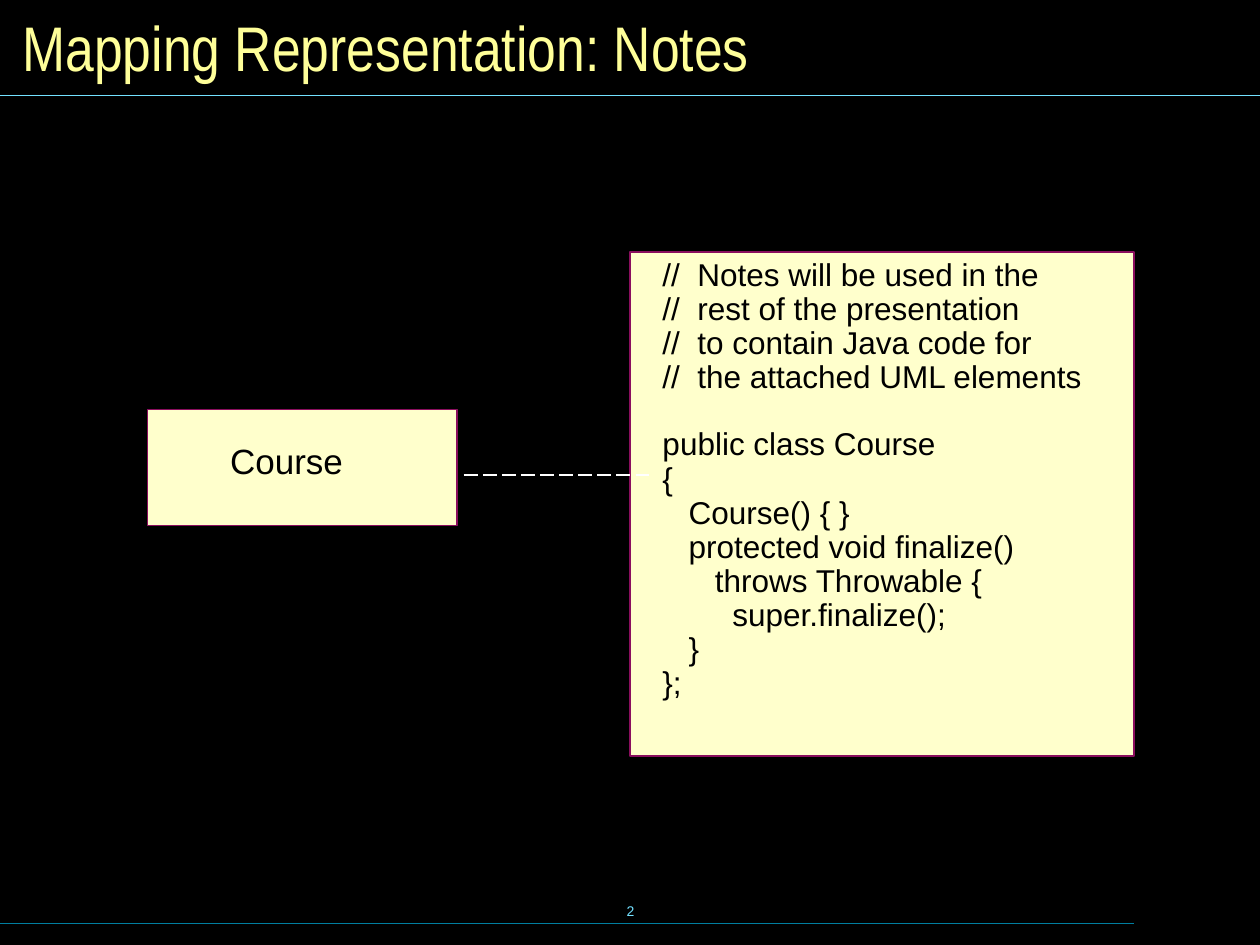
from pptx import Presentation
from pptx.dml.color import RGBColor
from pptx.enum.dml import MSO_LINE
from pptx.enum.shapes import MSO_CONNECTOR, MSO_SHAPE
from pptx.enum.text import MSO_ANCHOR, PP_ALIGN
from pptx.oxml.ns import qn
from pptx.util import Inches, Pt
from lxml.etree import SubElement

COLORS = {
    "background": "000000",
    "title": "FFFF99",
    "accent": "73E1FF",
    "footer_rule": "007E9F",
    "paper": "FFFFCC",
    "outline": "8A0E5E",
    "text": "000000",
    "link": "FFFFFF",
}

COMMENT_LINES = [
    "//  Notes will be used in the",
    "//  rest of the presentation",
    "//  to contain Java code for",
    "//  the attached UML elements",
]
CLASS_LINES = [
    "public class Course",
    "{",
    "   Course() { }",
    "   protected void finalize()",
    "      throws Throwable {",
    "        super.finalize();",
    "   }",
    "};",
]


def color(name):
    return RGBColor.from_string(COLORS[name])


def add_text(slide, lines, left, top, width, height, size, color_name="text",
             font="Arial", align=PP_ALIGN.LEFT, anchor=MSO_ANCHOR.TOP,
             line_spacing=1.0, wrap=False):
    """Add a text box with one paragraph per line and return its text frame."""
    box = slide.shapes.add_textbox(Inches(left), Inches(top), Inches(width), Inches(height))
    frame = box.text_frame
    frame.word_wrap = wrap
    frame.vertical_anchor = anchor
    frame.text = "\n".join(lines)
    for paragraph in frame.paragraphs:
        paragraph.alignment = align
        paragraph.line_spacing = line_spacing
        for run in paragraph.runs:
            run.font.name = font
            run.font.size = Pt(size)
            run.font.color.rgb = color(color_name)
    return frame


def add_line(slide, start, end, color_name, width, dash=None):
    points = [Inches(value) for value in (*start, *end)]
    connector = slide.shapes.add_connector(MSO_CONNECTOR.STRAIGHT, *points)
    connector.line.color.rgb = color(color_name)
    connector.line.width = Pt(width)
    if dash:
        connector.line.dash_style = dash
    SubElement(connector._element.spPr, qn("a:effectLst"))


def style_paper(shape):
    """Give a shape the pale fill and thin outline of the UML elements."""
    shape.shadow.inherit = False
    shape.fill.solid()
    shape.fill.fore_color.rgb = color("paper")
    shape.line.color.rgb = color("outline")
    shape.line.width = Pt(1)


def add_outline(slide, points, close):
    builder = slide.shapes.build_freeform(*points[0], scale=Inches(1))
    builder.add_line_segments(points[1:], close=close)
    style_paper(builder.convert_to_shape())


def add_note(slide, left, top, right, bottom, fold_width, fold_height):
    """Draw a UML note with a folded top right corner."""
    fold_left, fold_bottom = right - fold_width, top + fold_height
    add_outline(slide, [(right, bottom), (left, bottom), (left, top),
                        (fold_left, top), (right, fold_bottom)], close=True)
    add_outline(slide, [(right, fold_bottom), (fold_left, fold_bottom),
                        (fold_left, top)], close=False)


def add_class_box(slide, left, top, width, height):
    box = slide.shapes.add_shape(MSO_SHAPE.RECTANGLE, Inches(left), Inches(top),
                                 Inches(width), Inches(height))
    style_paper(box)


def main():
    presentation = Presentation()
    presentation.slide_width = Inches(10)
    presentation.slide_height = Inches(7.5)
    slide = presentation.slides.add_slide(presentation.slide_layouts[6])
    slide.background.fill.solid()
    slide.background.fill.fore_color.rgb = color("background")

    add_text(slide, ["2"], 3.42, 6.98, 3.17, 0.5, size=8, color_name="accent",
             align=PP_ALIGN.CENTER, anchor=MSO_ANCHOR.MIDDLE)
    add_line(slide, (0, 7.33), (9, 7.33), "footer_rule", 0.75)
    add_line(slide, (0, 0.76), (10, 0.76), "accent", 0.75)

    add_note(slide, 5.16, 1.92, 8.66, 5.66, fold_width=0.26, fold_height=0.36)
    add_class_box(slide, 1.17, 3.25, 2.46, 0.92)
    code = add_text(slide, COMMENT_LINES + CLASS_LINES, 5.16, 2.01, 3.53, 3.6,
                    size=18, line_spacing=0.9)
    code.paragraphs[len(COMMENT_LINES)].space_before = Pt(19)
    add_line(slide, (3.68, 3.77), (5.15, 3.77), "link", 1, MSO_LINE.LONG_DASH)
    add_text(slide, ["Course"], 1.61, 3.48, 1.33, 0.4, size=20,
             align=PP_ALIGN.CENTER, line_spacing=0.9)
    add_text(slide, ["Mapping Representation: Notes"], 0.08, 0.08, 9.84, 0.58,
             size=36, color_name="title", font="Arial Narrow",
             anchor=MSO_ANCHOR.MIDDLE, wrap=True)

    presentation.save("out.pptx")


if __name__ == "__main__":
    main()
